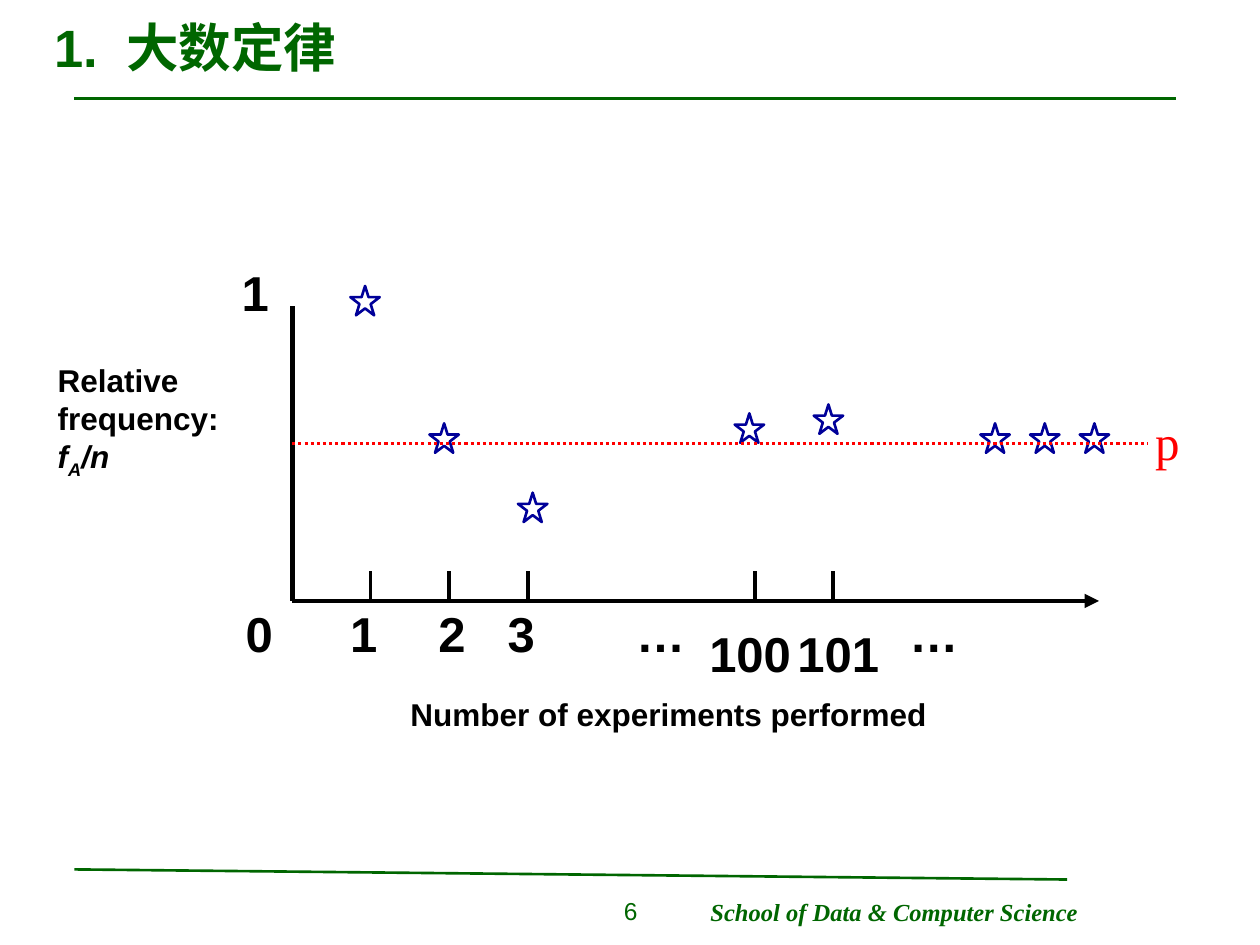
from dataclasses import dataclass, field
from typing import Any, NamedTuple, Optional

from lxml import etree
from pptx import Presentation
from pptx import util as u
from pptx.dml import color
from pptx.enum import dml, shapes, text
from pptx.oxml import ns


@dataclass(frozen=True)
class Theme:
    green: str = "006600"
    black: str = "000000"
    blue: str = "000099"
    red: str = "FF0000"
    sans: str = "Arial"
    serif: str = "Times New Roman"
    head: float = 30
    mark: float = 28
    body: float = 18
    foot: float = 14


T = Theme()


class Run(NamedTuple):
    words: str
    fmt: dict[str, Any] = {}
    attrs: dict[str, str] = {}


@dataclass
class Label:
    box: tuple[float, float, float, float]
    lines: list[list[Run]]
    size: float
    ink: str = T.black
    name: str = T.sans
    bold: bool = True
    frame: dict[str, Any] = field(default_factory=lambda: {
        "word_wrap": False, "auto_size": text.MSO_AUTO_SIZE.SHAPE_TO_FIT_TEXT})
    align: Any = text.PP_ALIGN.LEFT


@dataclass
class Rule:
    start: tuple[float, float]
    end: tuple[float, float]
    ink: str
    width: float
    dash: Optional[Any] = None
    arrow: bool = False


def apply(target: Any, values: dict[str, Any]) -> None:
    for key, value in values.items():
        setattr(target, key, value)


def draw_label(slide: Any, label: Label) -> None:
    frame = slide.shapes.add_textbox(*map(u.Pt, label.box)).text_frame
    apply(frame, label.frame)
    for row, runs in enumerate(label.lines):
        para = frame.paragraphs[0] if row == 0 else frame.add_paragraph()
        para.alignment = label.align
        for item in runs:
            run = para.add_run()
            run.text = item.words
            base = {"size": u.Pt(label.size), "name": label.name, "bold": label.bold}
            apply(run.font, base | item.fmt)
            run.font.color.rgb = color.RGBColor.from_string(label.ink)
            for key, value in item.attrs.items():
                run.font._element.set(key, value)


def draw_rule(slide: Any, rule: Rule) -> None:
    ends = map(u.Pt, rule.start + rule.end)
    line = slide.shapes.add_connector(shapes.MSO_CONNECTOR.STRAIGHT, *ends)
    line.line.color.rgb = color.RGBColor.from_string(rule.ink)
    apply(line.line, {"width": u.Pt(rule.width), "dash_style": rule.dash})
    if rule.arrow:
        etree.SubElement(line.line._get_or_add_ln(), ns.qn("a:tailEnd"), type="triangle")
    etree.SubElement(line._element.spPr, ns.qn("a:effectLst"))


def draw_star(slide: Any, left: float, top: float) -> None:
    side = 16.8
    star = slide.shapes.add_shape(
        shapes.MSO_SHAPE.STAR_5_POINT, *map(u.Pt, (left, top, side, side)))
    star.shadow.inherit = False
    star.fill.background()
    star.line.color.rgb = color.RGBColor.from_string(T.blue)
    star.line.width = u.Pt(1.5)


def main() -> None:
    deck = Presentation()
    apply(deck, {"slide_width": u.Pt(720), "slide_height": u.Pt(540)})
    slide = deck.slides.add_slide(deck.slide_layouts[6])

    base, left = 343.4, 167
    rules = [
        Rule((42.5, 56.2), (671.8, 56.2), T.green, 1.5),
        Rule((42.5, 496.8), (609.8, 502.6), T.green, 1.5),
        Rule((left, base), (628, base), T.black, 2.75, arrow=True),
        Rule((left, base), (left, 175), T.black, 3),
    ]
    rules += [Rule((x, 326.5), (x, base), T.black, 2)
              for x in (211.7, 256.7, 301.7, 431.3, 475.9)]
    for rule in rules:
        draw_rule(slide, rule)

    marks = [
        ("1", 131, 146.2), ("0", 133.2, 341.3), ("1", 193, 341.3),
        ("2", 243.4, 341.3), ("3", 283, 341.3), ("…", 356.4, 341.3),
        ("…", 512.6, 341.3), ("100", 398.2, 352.8), ("101", 448.6, 352.8),
    ]
    wide = {"1": 29.5, "…": 42.5, "100": 61.2, "101": 61.2}
    labels = [
        Label((23.8, 2.2, 672.5, 49), [[Run("1."), Run(" ", {}, {"spc": "800"}), Run("大数定律")]],
              T.head, T.green,
              frame={"word_wrap": True, "vertical_anchor": text.MSO_ANCHOR.MIDDLE}),
        Label((398.9, 509, 224.6, 24.5),
              [[Run("School of Data & Computer Science", {"italic": True})]],
              T.foot, T.green, T.serif),
        Label((298, 508.3, 73.4, 26), [[Run("6")]], T.foot, T.green, bold=False,
              frame={"word_wrap": True}, align=text.PP_ALIGN.RIGHT),
    ]
    labels += [Label((x, y, wide.get(word, 29.5), 41), [[Run(word)]], T.mark)
               for word, x, y in marks]
    slant = {"italic": True}
    labels += [
        Label((25.9, 203, 106.6, 74.9),
              [[Run("Relative")], [Run("frequency:")],
               [Run("f", slant), Run("A", slant, {"baseline": "-25000"}), Run("/n", slant)]],
              T.body),
        Label((227.5, 393.8, 309.6, 28.8), [[Run("Number of experiments performed")]], T.body),
        Label((653, 231.8, 28.1, 41), [[Run("p")]], T.mark, T.red, T.serif, False),
    ]
    for label in labels:
        draw_label(slide, label)

    level = 241.9
    stars = [(200.2, 163.4), (245.4, level), (296, 281.5), (419.8, 236.2), (465, 231.1)]
    stars += [(560.2 + 28.4 * step, level) for step in range(3)]
    for star in stars:
        draw_star(slide, *star)
    draw_rule(slide, Rule((left, 253.4), (656, 253.4), T.red, 1.75,
                          dml.MSO_LINE.ROUND_DOT))

    deck.save("out.pptx")


if __name__ == "__main__":
    main()
